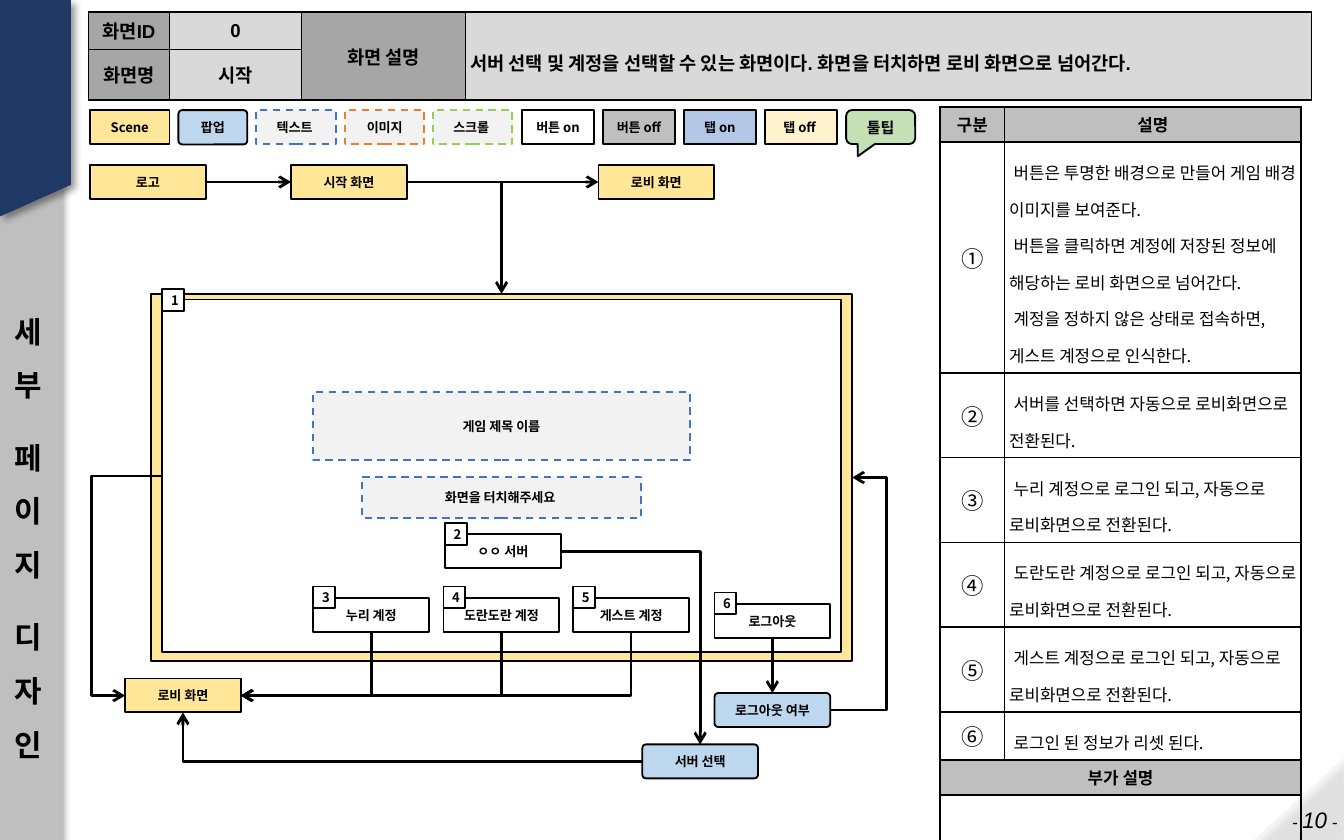
"""Build the start screen specification slide with its flow diagram."""
from lxml.etree import SubElement
from pptx import Presentation
from pptx.dml.color import RGBColor
from pptx.enum.dml import MSO_LINE
from pptx.enum.shapes import MSO_CONNECTOR, MSO_SHAPE
from pptx.enum.text import MSO_ANCHOR, PP_ALIGN
from pptx.oxml.ns import qn
from pptx.util import Pt

RECT, ROUND = MSO_SHAPE.RECTANGLE, MSO_SHAPE.ROUNDED_RECTANGLE
CALLOUT, TRIANGLE = MSO_SHAPE.ROUNDED_RECTANGULAR_CALLOUT, MSO_SHAPE.RIGHT_TRIANGLE
DASH = MSO_LINE.DASH
STRAIGHT, ELBOW = MSO_CONNECTOR.STRAIGHT, MSO_CONNECTOR.ELBOW
LEFT, CENTER, RIGHT = PP_ALIGN.LEFT, PP_ALIGN.CENTER, PP_ALIGN.RIGHT
MIDDLE = MSO_ANCHOR.MIDDLE
KOREAN, LATIN = "Noto Sans CJK KR", "Arial"
BLACK, WHITE, YELLOW, BLUE = "000000", "FFFFFF", "FFE699", "BDD7EE"
PALE, GRAY, DASH_BLUE = "F2F2F2", "BFBFBF", "4472C4"
hex_color = RGBColor.from_string


def write(frame, lines, size, bold=True, font=KOREAN, align=CENTER, spacing=None, before=0, indent=0):
    frame.word_wrap = True
    frame.vertical_anchor = MIDDLE
    for number, line in enumerate(lines):
        paragraph = frame.add_paragraph() if number else frame.paragraphs[0]
        paragraph.alignment = align
        if spacing:
            paragraph.line_spacing = spacing
        if number and before:
            paragraph.space_before = Pt(before)
        if indent:
            paragraph._p.get_or_add_pPr().set("indent", str(Pt(indent)))
        run = paragraph.add_run()
        run.text = line
        run.font.size, run.font.bold, run.font.name = Pt(size), bold, font
        run.font.color.rgb = hex_color(BLACK)
        run.font._element.set("kern", "0")
        SubElement(run.font._element, qn("a:ea")).set("typeface", KOREAN)


def box(kind, x, y, w, h, fill, text="", line=BLACK, dash=None, size=7):
    shape = slide.shapes.add_shape(kind, Pt(x), Pt(y), Pt(w), Pt(h))
    shape.shadow.inherit = False
    shape.fill.solid()
    shape.fill.fore_color.rgb = hex_color(fill)
    if line:
        shape.line.color.rgb = hex_color(line)
        shape.line.width = Pt(1)
        shape.line.dash_style = dash
    else:
        shape.line.fill.background()
    if kind == ROUND:
        shape.adjustments[0] = 0.11
    if text:
        write(shape.text_frame, [text], size)
    return shape


prs = Presentation()
prs.slide_width, prs.slide_height = Pt(720), Pt(450)
slide = prs.slides.add_slide(prs.slide_layouts[2])
title, section = slide.placeholders
title._element.getparent().remove(title._element)

sidebar = box(RECT, 0, 0, 33.8, 450, GRAY, line=None)
corner = box(TRIANGLE, 673.9, 403.9, 43.9, 48.2, PALE, line=None)
corner.rotation = 270
corner_color = corner._element.spPr.find(qn("a:solidFill"))[0]
SubElement(corner_color, qn("a:alpha")).set("val", "70000")
outline = slide.shapes.build_freeform(0, 0, Pt(1))
outline.add_line_segments([(0, 116), (37.8, 99), (37.8, 0)], close=True)
ribbon = outline.convert_to_shape()
ribbon.shadow.inherit = False
ribbon.fill.solid()
ribbon.fill.fore_color.rgb = hex_color("203864")
ribbon.line.fill.background()
for part, angle in [(sidebar, 90), (corner, 45), (ribbon, 45)]:
    effects = part._element.spPr.find(qn("a:effectLst"))
    shadow = SubElement(effects, qn("a:outerShdw"), blurRad=str(Pt(4)), dist=str(Pt(3)), dir=str(angle * 60000))
    shade = SubElement(shadow, qn("a:srgbClr"), val=BLACK)
    SubElement(shade, qn("a:alpha"), val="40000")

section.left, section.top, section.width, section.height = Pt(0.7), Pt(116.6), Pt(33.1), Pt(333.4)
write(section.text_frame, ["세부", "페이지", "디자인"], 16, font=LATIN, align=LEFT, spacing=1.5, before=10)
slide.shapes._spTree.append(section._element)

page = slide.shapes.add_textbox(Pt(644.4), Pt(429.1), Pt(79.2), Pt(14.4)).text_frame
page.word_wrap = True
page.margin_top = page.margin_bottom = Pt(3)
page.paragraphs[0].alignment = RIGHT
for text, size in [("- ", 9), ("10", 12), (" -", 9)]:
    run = page.paragraphs[0].add_run()
    run.text = text
    run.font.size, run.font.italic, run.font.name = Pt(size), True, LATIN
    run.font.color.rgb = hex_color(BLACK)

for kind, x, w, fill, text, line, dash in [
    (RECT, 48.2, 42.6, YELLOW, "Scene", BLACK, None),
    (ROUND, 95.6, 36.9, BLUE, "팝업", BLACK, None),
    (RECT, 137.3, 42.6, PALE, "텍스트 ", DASH_BLUE, DASH),
    (RECT, 184.8, 42.6, PALE, "이미지", "ED7D31", DASH),
    (RECT, 231.9, 42.6, PALE, "스크롤 ", "92D050", DASH),
    (RECT, 279.5, 38.8, WHITE, "버튼 on", BLACK, None),
    (RECT, 322.9, 38.8, GRAY, "버튼 off", BLACK, None),
    (RECT, 366.2, 38.8, "B4C7E7", "탭 on", BLACK, None),
    (RECT, 409.7, 38.8, "FFF2CC", "탭 off ", BLACK, None),
]:
    box(kind, x, 59, w, 18.4, fill, text, line, dash)
tooltip = box(CALLOUT, 453.3, 59, 37, 18.2, "C5E0B4", "툴팁", size=8)
for number, value in enumerate([-0.33, 0.86, 0.17]):
    tooltip.adjustments[number] = value

NODE_W, NODE_H, BADGE = 62, 18.2, 11.7
panel = box(RECT, 80.9, 157.4, 375.6, 196.9, YELLOW)
screen = box(RECT, 87, 160.5, 363.4, 189, WHITE)
box(RECT, 87, 154.8, BADGE, BADGE, WHITE, "1")
box(RECT, 167.7, 210.1, 201.8, 36.5, PALE, "게임 제목 이름", DASH_BLUE, DASH)
box(RECT, 193.8, 255.5, 149.8, 22, PALE, "화면을 터치해주세요 ", DASH_BLUE, DASH)
logo, start, lobby, login_lobby, server_popup, logout_popup = [
    box(kind, x, y, NODE_W, NODE_H, fill, text)
    for kind, x, y, fill, text in [
        (RECT, 48.2, 88.4, YELLOW, "로고"),
        (RECT, 155.9, 88.4, YELLOW, "시작 화면"),
        (RECT, 320.6, 88.4, YELLOW, "로비 화면"),
        (RECT, 67, 363.5, YELLOW, "로비 화면"),
        (ROUND, 344.1, 398.8, BLUE, "서버 선택"),
        (ROUND, 382.8, 371.3, BLUE, "로그아웃 여부"),
    ]
]
buttons = []
for number, (x, y, text) in enumerate([
    (238.4, 286.2, "ㅇㅇ 서버"), (167.9, 320.3, "누리 계정"), (237.6, 320.3, "도란도란 계정"),
    (307.1, 320.3, "게스트 계정"), (382.8, 323.5, "로그아웃"),
], 2):
    buttons.append(box(RECT, x, y, NODE_W, NODE_H, WHITE, text))
    box(RECT, x, y - 6.1, BADGE, BADGE, WHITE, str(number))
server, *accounts, logout = buttons

for origin, side, target, target_side, bends, turn, flip, adjust in [
    (logo, 3, start, 1, 0, 0, False, None),
    (start, 3, lobby, 1, 0, 0, False, None),
    (logout, 2, logout_popup, 0, 0, 0, False, None),
    (start, 3, panel, 0, 2, 0, False, None),
    (server, 3, server_popup, 0, 2, 0, False, None),
    (server_popup, 1, login_lobby, 2, 2, 180, False, None),
    (screen, 1, login_lobby, 1, 3, 180, True, 189500),
    (logout_popup, 3, panel, 3, 3, 0, True, 258500),
    *[(account, 2, login_lobby, 3, 2, 90, False, None) for account in accounts],
]:
    arrow = slide.shapes.add_connector(ELBOW if bends else STRAIGHT, 0, 0, 0, 0)
    arrow.begin_connect(origin, side)
    arrow.end_connect(target, target_side)
    properties = arrow._element.spPr
    if bends:
        w, h = (arrow.height, arrow.width) if turn == 90 else (arrow.width, arrow.height)
        center_x, center_y = arrow.left + arrow.width // 2, arrow.top + arrow.height // 2
        arrow.left, arrow.top, arrow.width, arrow.height = center_x - w // 2, center_y - h // 2, w, h
        frame = properties.find(qn("a:xfrm"))
        frame.set("rot", str(turn * 60000))
        frame.set("flipH", "0")
        frame.set("flipV", str(int(flip)))
        geometry = properties.find(qn("a:prstGeom"))
        geometry.set("prst", f"bentConnector{bends}")
        if adjust:
            SubElement(geometry.find(qn("a:avLst")), qn("a:gd"), name="adj1", fmla=f"val {adjust}")
    arrow.line.color.rgb = hex_color(BLACK)
    arrow.line.width = Pt(1.5)
    SubElement(properties.find(qn("a:ln")), qn("a:tailEnd"), type="arrow")
    SubElement(properties, qn("a:effectLst"))

notes = [
    ["버튼은 투명한 배경으로 만들어 게임 배경 이미지를 보여준다.",
     "버튼을 클릭하면 계정에 저장된 정보에 해당하는 로비 화면으로 넘어간다.",
     "계정을 정하지 않은 상태로 접속하면, 게스트 계정으로 인식한다."],
    ["서버를 선택하면 자동으로 로비화면으로 전환된다."],
    ["누리 계정으로 로그인 되고, 자동으로 로비화면으로 전환된다."],
    ["도란도란 계정으로 로그인 되고, 자동으로 로비화면으로 전환된다."],
    ["게스트 계정으로 로그인 되고, 자동으로 로비화면으로 전환된다."],
    ["로그인 된 정보가 리셋 된다."],
]
guide = {(0, 0): (["구분"], GRAY, 9), (0, 1): (["설명"], GRAY, 9), (7, 0): (["부가 설명"], GRAY, 9)}
for row, (mark, note) in enumerate(zip("①②③④⑤⑥", notes), 1):
    guide[row, 0] = ([mark], None, 12, False)
    guide[row, 1] = (note, None, 9, False, KOREAN, LEFT, 1.5, 0, 2.5)
summary = "서버 선택 및 계정을 선택할 수 있는 화면이다. 화면을 터치하면 로비 화면으로 넘어간다."
header = {
    (0, 0): (["화면ID"], "A6A6A6", 10, True, LATIN), (1, 0): (["화면명"], "A6A6A6", 10, True, LATIN),
    (0, 1): (["0"], "D9D9D9", 10, True, LATIN), (1, 1): (["시작"], "D9D9D9", 10, True, LATIN),
    (0, 2): (["화면 설명"], "A6A6A6", 10, True, LATIN),
    (0, 3): ([summary], "D9D9D9", 10, True, LATIN, LEFT, 1.5),
}
for x, y, widths, heights, merges, contents, thick_columns, thick_rows in [
    (503.6, 57.4, [34.6, 158.8], [18.7, 123.8, 45.4, 45.4, 45.4, 45.4, 25.7, 18.7, 48.2],
     [(7, 0, 7, 1), (8, 0, 8, 1)], guide, {0, 2}, {0, 1, 2, 5, 6, 7, 8, 9}),
    (47.5, 6.4, [43.2, 71, 87.8, 453.2], [20, 27.3],
     [(0, 2, 1, 2), (0, 3, 1, 3)], header, {0, 1, 4}, {0, 2}),
]:
    table = slide.shapes.add_table(
        len(heights), len(widths), Pt(x), Pt(y), Pt(sum(widths)), Pt(sum(heights))).table
    table.first_row = table.horz_banding = False
    for column, width in zip(table.columns, widths):
        column.width = Pt(width)
    for row, height in zip(table.rows, heights):
        row.height = Pt(height)
    for top, left, bottom, right in merges:
        table.cell(top, left).merge(table.cell(bottom, right))
    for r in range(len(heights)):
        for c in range(len(widths)):
            cell = table.cell(r, c)
            lines, fill, *style = contents.get((r, c), ([], None, 9))
            cell.margin_left = cell.margin_right = Pt(2.4 if LEFT in style else 2.8)
            cell.margin_top = cell.margin_bottom = Pt(2.8)
            cell.vertical_anchor = MIDDLE
            for edge, thick in [
                ("L", c in thick_columns), ("R", c + cell.span_width in thick_columns),
                ("T", r in thick_rows), ("B", r + cell.span_height in thick_rows),
            ]:
                border = SubElement(cell._tc.tcPr, qn(f"a:ln{edge}"), w=str(Pt(1 if thick else 0.5)))
                SubElement(SubElement(border, qn("a:solidFill")), qn("a:srgbClr"), val=BLACK)
            if fill:
                cell.fill.solid()
                cell.fill.fore_color.rgb = hex_color(fill)
            else:
                cell.fill.background()
            write(cell.text_frame, lines, *style)

prs.save("out.pptx")
